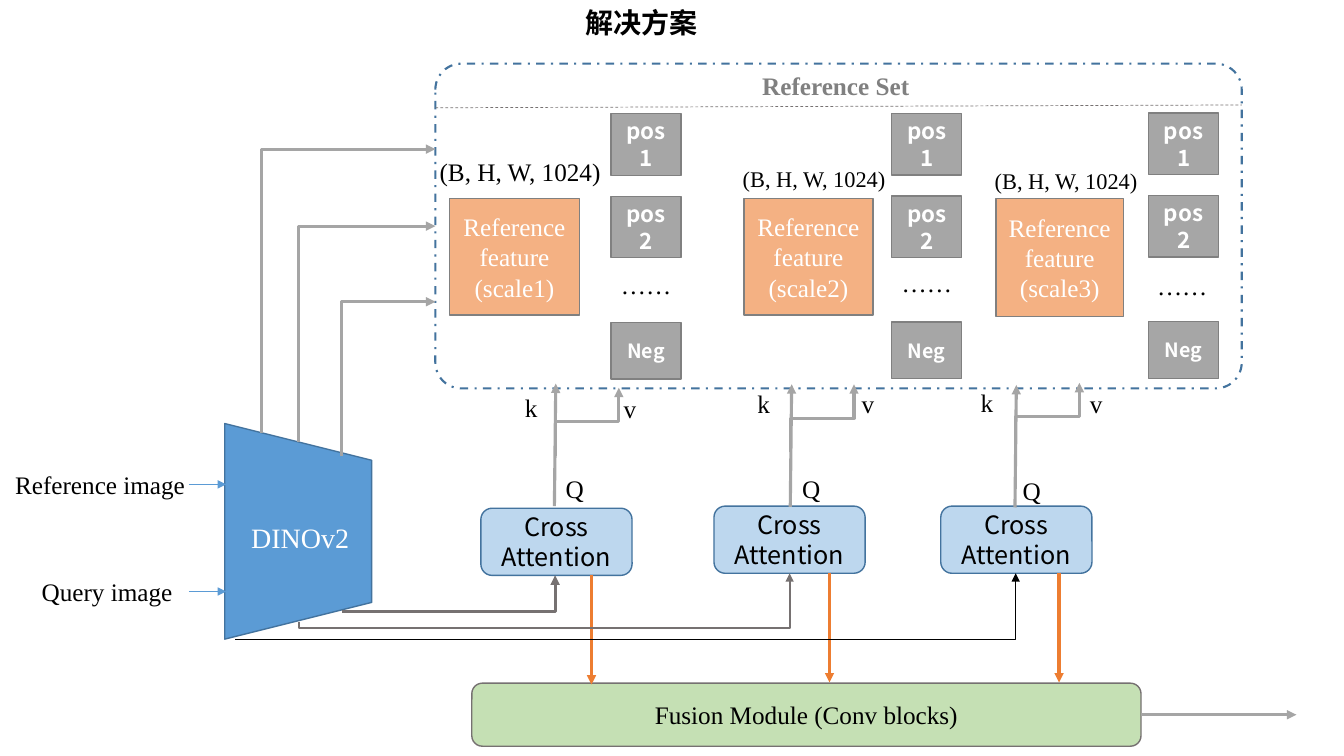
from pptx import Presentation
from pptx.dml.color import RGBColor
from pptx.enum.dml import MSO_LINE
from pptx.enum.shapes import MSO_CONNECTOR, MSO_SHAPE
from pptx.enum.text import MSO_ANCHOR, PP_ALIGN
from pptx.oxml.ns import qn
from pptx.util import Pt
from lxml.etree import SubElement

# Content: one entry per scale; all positions in points
TITLE = ("解决方案", 458, 16)
SET_TITLE = ("Reference Set", 597, 61)
ENCODER = ("DINOv2", 214.5, 383.5)
INPUTS = [("Reference image", 71.5, 346), ("Query image", 76.5, 422.5)]
FUSION = "Fusion Module (Conv blocks)"
ATTENTION = "Cross Attention"
DIMS = "(B, H, W, 1024)"
SCALES = [
    dict(name="scale1", feature=(321, 142, 93, 83), tiles=(436.5, 81.2), dots=(461.5, 203),
         dims=(371.5, 122.5, 18), attention=(343.5, 363), query=(396, 361.5),
         fork=(396.5, 325.5), k=(379.5, 291), v=(450, 292), q=(410.5, 349), out=422.5),
    dict(name="scale2", feature=(531.5, 142, 92, 83), tiles=(637, 81), dots=(662, 202),
         dims=(581.5, 127.5, 16), attention=(510, 361.5), query=(564.5, 362),
         fork=(564.5, 323), k=(545.5, 288.5), v=(620, 288), q=(579.5, 349), out=592.5),
    dict(name="scale3", feature=(711.5, 142, 91, 84), tiles=(820.5, 80.7), dots=(844.5, 204),
         dims=(761.5, 129, 16), attention=(672, 361.5), query=(725, 362.5),
         fork=(725.5, 322), k=(705, 287.5), v=(783, 288.5), q=(737, 350), out=756.5),
]
# Tile text, offset down the column, height, text size
TILES = [("pos1", 0, 44, 16), ("pos2", 59, 44, 16), ("Neg", 149, 40.5, 14)]
# Encoder to reference set: start, end
FEATURE_ROUTES = [((187, 309), (311, 106.5)), ((213.5, 315.5), (311, 161.5)),
                  ((244, 325.5), (311, 215.5))]
FRAME = (311, 45.5, 576, 232)
FUSION_BOX = (337, 488, 478, 45)
ATTENTION_SIZE = (108, 48)

THEME = dict(
    serif="Times New Roman", sans="Noto Sans CJK SC",
    title=20, body=18,
    black="000000", white="FFFFFF", blue="5B9BD5", navy="43739E", pale="BDD7EE",
    peach="F4B183", orange="ED7D31", green="C5E0B4",
    tile="A6A6A6", edge="808080", arrow="A5A5A5", dark="767171",
)
T = THEME

prs = Presentation()
prs.slide_width, prs.slide_height = Pt(960), Pt(540)
s = prs.slides.add_slide(prs.slide_layouts[6])


def rgb(name):
    return RGBColor.from_string(T[name])


def write(tf, lines, size, color, font="serif", bold=False):
    tf.word_wrap = True
    tf.vertical_anchor = MSO_ANCHOR.MIDDLE
    for i, line in enumerate(lines):
        p = tf.paragraphs[0] if i == 0 else tf.add_paragraph()
        p.alignment = PP_ALIGN.CENTER
        r = p.add_run()
        r.text = line
        r.font.size, r.font.bold, r.font.name = Pt(size), bold, T[font]
        r.font.color.rgb = rgb(color)
        SubElement(r._r.get_or_add_rPr(), qn("a:ea"), typeface=T["sans"])


def label(text, cx, cy, size=T["body"], color="black", bold=False):
    w, h = 150, 28
    tf = s.shapes.add_textbox(Pt(cx - w / 2), Pt(cy - h / 2), Pt(w), Pt(h)).text_frame
    tf.margin_left = tf.margin_right = tf.margin_top = tf.margin_bottom = 0
    write(tf, [text], size, color, bold=bold)


def box(kind, rect, fill, line, width=1):
    sp = s.shapes.add_shape(kind, *map(Pt, rect))
    sp.shadow.inherit = False
    if fill:
        sp.fill.solid()
        sp.fill.fore_color.rgb = rgb(fill)
    else:
        sp.fill.background()
    sp.line.color.rgb = rgb(line)
    sp.line.width = Pt(width)
    return sp


def connect(start, end, color, width, head=True, kind=MSO_CONNECTOR.STRAIGHT):
    c = s.shapes.add_connector(kind, *map(Pt, start + end))
    c.line.color.rgb = rgb(color)
    c.line.width = Pt(width)
    if head:
        SubElement(c.line._get_or_add_ln(), qn("a:tailEnd"), type="triangle")
    SubElement(c._element.spPr, qn("a:effectLst"))
    return c


def right_then_up(start, end, color, width):
    c = connect(start, end, color, width, kind=MSO_CONNECTOR.ELBOW)
    c._element.spPr.find(qn("a:prstGeom")).set("prst", "bentConnector2")


def vertical_first(start, end, color, width, bend=None):
    """Elbow turned a quarter left; bend is the share of the rise before the turn."""
    (x1, y1), (x2, y2) = start, end
    cx, cy, rise, run = (x1 + x2) / 2, (y1 + y2) / 2, y1 - y2, x2 - x1
    c = connect((cx - rise / 2, cy - run / 2), (cx + rise / 2, cy + run / 2),
                color, width, kind=MSO_CONNECTOR.ELBOW)
    c._element.spPr.find(qn("a:xfrm")).set("rot", "16200000")
    geom = c._element.spPr.find(qn("a:prstGeom"))
    if bend is None:
        geom.set("prst", "bentConnector2")
    else:
        SubElement(geom.find(qn("a:avLst")), qn("a:gd"), name="adj1",
                   fmla=f"val {round(bend * 100000)}")


# Title, encoder and inputs
label(*TITLE, size=T["title"], bold=True)
box(MSO_SHAPE.TRAPEZOID, (136, 327, 154, 105), "blue", "navy").rotation = 90
label(*ENCODER, size=T["title"], color="white")
for text, cx, cy in INPUTS:
    label(text, cx, cy)
    connect((135, cy), (161.5, cy), "blue", 0.5)

# Reference set frame
frame = box(MSO_SHAPE.ROUNDED_RECTANGLE, FRAME, None, "navy", 1.5)
frame.adjustments[0] = 0.08
frame.line.dash_style = MSO_LINE.DASH_DOT
rule = connect((311, 77), (887, 75), "dark", 0.5, head=False)
rule.line.dash_style = MSO_LINE.DASH
label(*SET_TITLE, color="edge", bold=True)
for start, end in FEATURE_ROUTES:
    vertical_first(start, end, "arrow", 2.25)

# Fusion module
fusion = box(MSO_SHAPE.ROUNDED_RECTANGLE, FUSION_BOX, "green", "dark")
write(fusion.text_frame, [FUSION], T["body"], "black")
connect((815, 510.5), (926, 510.5), "arrow", 2.25)

# One column per scale
for col in SCALES:
    feature = box(MSO_SHAPE.RECTANGLE, col["feature"], "peach", "edge")
    write(feature.text_frame, ["Reference", f"feature ({col['name']})"], T["body"], "white")
    cx, cy, size = col["dims"]
    label(DIMS, cx, cy, size)

    x, top = col["tiles"]
    for text, dy, h, size in TILES:
        tile = box(MSO_SHAPE.RECTANGLE, (x, top + dy, 50, h), "tile", "edge")
        write(tile.text_frame, [text], size, "white", "sans", True)
    label("……", *col["dots"])

    attention = box(MSO_SHAPE.ROUNDED_RECTANGLE, col["attention"] + ATTENTION_SIZE, "pale", "navy")
    write(attention.text_frame, [ATTENTION], T["body"], "black", "sans")
    x, y = col["query"]
    connect((x, y), (x + 1, y - 87.5), "arrow", 2.25)
    x, y = col["fork"]
    vertical_first((x, y), (x + 45.5, y - 48.5), "arrow", 2.25, bend=0.5)
    for text in ("k", "v"):
        label(text, *col[text])
    label("Q", *col["q"])
    y = col["attention"][1] + ATTENTION_SIZE[1]
    connect((col["out"], y), (col["out"], y + 78), "orange", 2.25)

# Query features to the attention blocks
right_then_up((244, 437), (396.5, 411), "dark", 2.25)
vertical_first((213.5, 444), (564, 409.5), "dark", 1.5, bend=-0.13)
right_then_up((168, 456.5), (725.5, 409.5), "black", 0.5)

prs.save("out.pptx")
